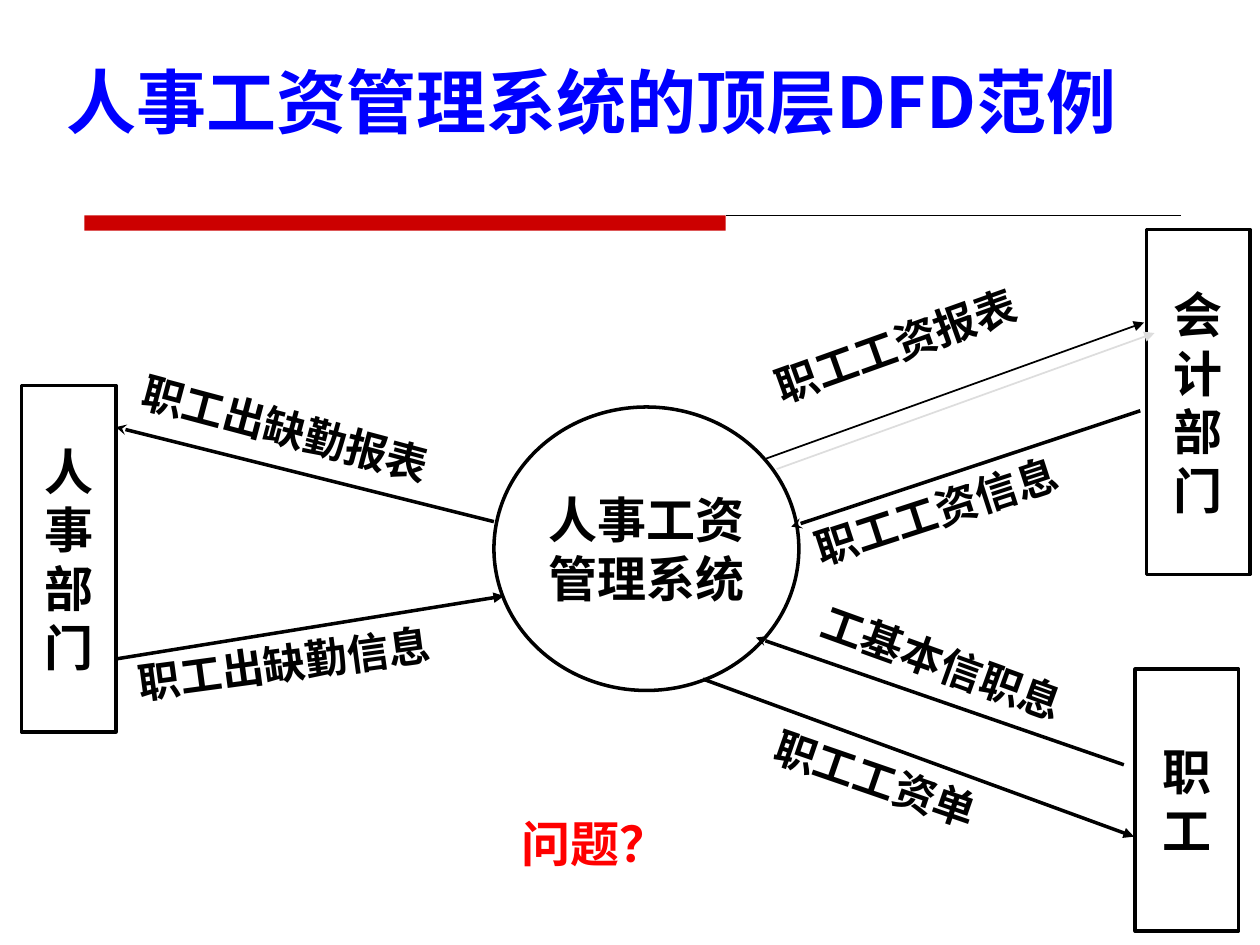
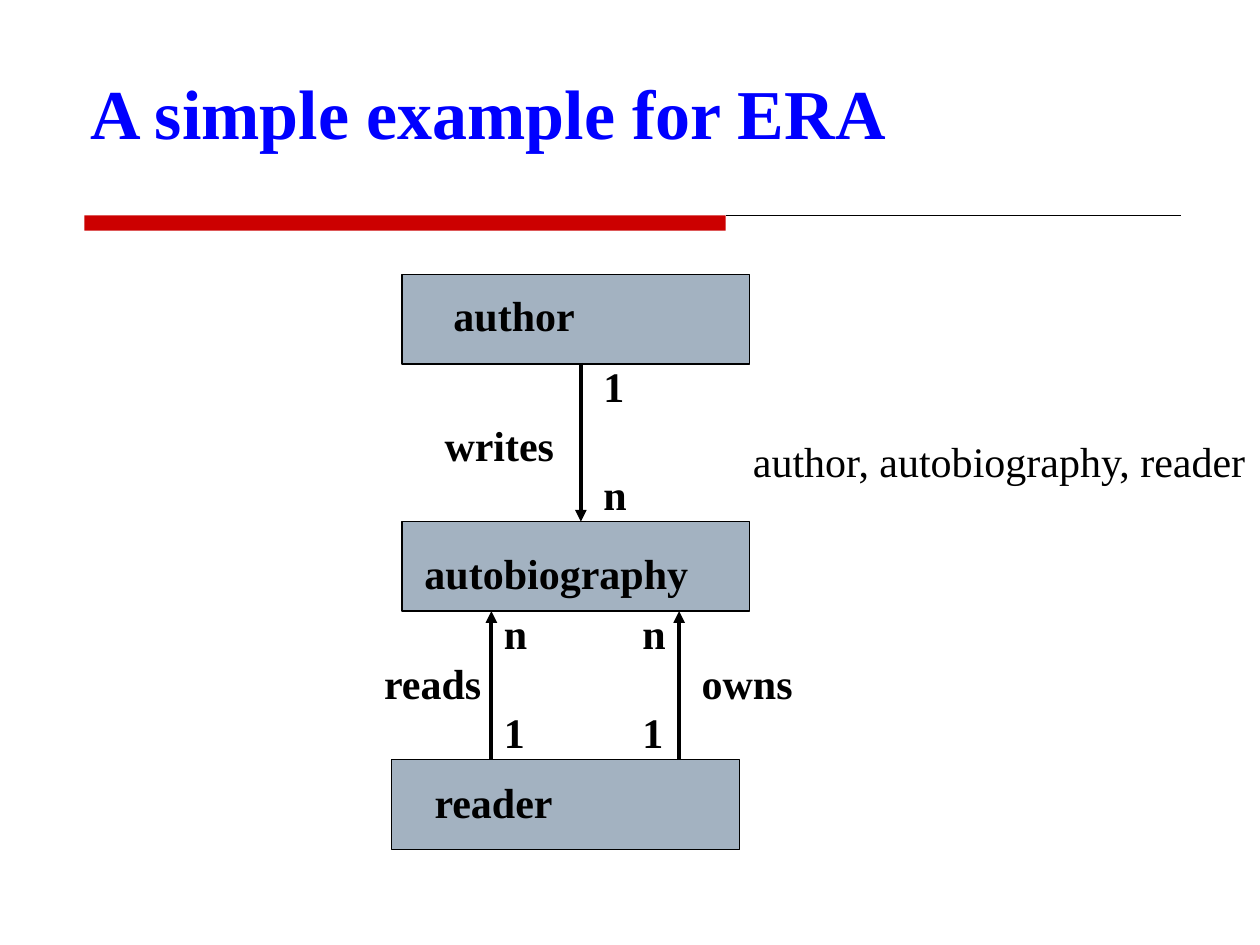
import pptx
import pptx.util
import pptx.dml.color
import pptx.enum.shapes
import pptx.enum.text
import pptx.oxml
import pptx.oxml.ns
import lxml.etree

COLORS = {"title": "0000FF", "bar": "CC0000", "ink": "000000", "paper": "FFFFFF",
          "entity": "A3B2C1", "question": "FF0000", "shadow": "DDDDDD"}
HEX = pptx.dml.color.RGBColor.from_string
SHAPE = pptx.enum.shapes.MSO_SHAPE
ALIGN = pptx.enum.text.PP_ALIGN
ANCHOR = pptx.enum.text.MSO_ANCHOR
CHINESE, LATIN, PLAIN = "Noto Sans CJK SC", "Times New Roman", "Arial"

deck = pptx.Presentation()
deck.slide_width = pptx.util.Inches(10)
deck.slide_height = pptx.util.Inches(7.5)
UNIT = deck.slide_width / 100  # the slide is a grid of 100 columns by 75 rows


def write(box, frame, lines, font, size, color="ink", bold=True,
          align=ALIGN.LEFT, anchor=ANCHOR.TOP, wrap=True):
    """Place a box on the grid and fill it with one paragraph per line."""
    box.left, box.top, box.width, box.height = [round(n * UNIT) for n in frame]
    text = box.text_frame
    text.word_wrap = wrap
    text.auto_size = pptx.enum.text.MSO_AUTO_SIZE.NONE
    text.vertical_anchor = anchor
    for index, line in enumerate(lines):
        para = text.add_paragraph() if index else text.paragraphs[0]
        para.alignment = align
        span = para.add_run()
        span.text = line
        span.font.name = font
        span.font.size = pptx.util.Pt(size)
        span.font.bold = bold
        span.font.color.rgb = HEX(COLORS[color])
        if font != LATIN:
            east = lxml.etree.SubElement(span.font._element, pptx.oxml.ns.qn("a:ea"))
            east.set("typeface", CHINESE)


def draw_line(page, start, end, weight, head=None):
    """Draw a straight line on the grid, with an arrowhead at its end if named."""
    line = page.shapes.add_connector(pptx.enum.shapes.MSO_CONNECTOR.STRAIGHT,
                                     *[round(n * UNIT) for n in start + end])
    line.line.color.rgb = HEX(COLORS["ink"])
    line.line.width = pptx.util.Pt(weight)
    if head:
        tail = lxml.etree.SubElement(line.line._get_or_add_ln(), pptx.oxml.ns.qn("a:tailEnd"))
        tail.set("type", head)
    return lxml.etree.SubElement(line._element.spPr, pptx.oxml.ns.qn("a:effectLst"))


# Titles and the rule under them
titles = [
    ("人事工资管理系统的顶层DFD范例", CHINESE, (4.3, 4.5, 93.4, 6.9), ANCHOR.MIDDLE),
    ("A simple example for ERA", LATIN, (6.2, 5, 80.7, 7.7), ANCHOR.TOP),
]
pages = []
for title, font, frame, anchor in titles:
    page = deck.slides.add_slide(deck.slide_layouts[5])
    pages.append(page)
    bar = page.shapes.add_shape(SHAPE.RECTANGLE,
                                *[round(n * UNIT) for n in (6.7, 17.1, 50.9, 1.2)])
    bar.shadow.inherit = False
    bar.fill.solid()
    bar.fill.fore_color.rgb = HEX(COLORS["bar"])
    bar.line.fill.background()
    draw_line(page, (57.6, 17.1), (93.7, 17.1), 0.75)
    write(page.shapes.title, frame, [title], font, 40, "title", anchor=anchor)
flow, era = pages

# Data flow: departments and the central process
nodes = [
    (SHAPE.RECTANGLE, (1.7, 30.6, 7.5, 27.5), "人事部门", PLAIN),
    (SHAPE.OVAL, (39.2, 32.3, 24.2, 22.5), ["人事工资", "管理系统"], PLAIN),
    (SHAPE.RECTANGLE, (91, 18.2, 8.2, 27.4), "会计部门", CHINESE),
    (SHAPE.RECTANGLE, (90.1, 53.1, 8.2, 20.8), "职工", CHINESE),
]
for kind, frame, lines, font in nodes:
    node = flow.shapes.add_shape(kind, 0, 0, 0, 0)
    node.shadow.inherit = False
    node.fill.solid()
    node.fill.fore_color.rgb = HEX(COLORS["paper"])
    node.line.color.rgb = HEX(COLORS["ink"])
    node.line.width = pptx.util.Pt(2)
    write(node, frame, lines, font, 28, align=ALIGN.CENTER, anchor=ANCHOR.MIDDLE, wrap=False)

# Data flow: arrows
for start, end, head in [
    ((39.2, 41.4), (9.2, 33.9), "stealth"),
    ((9.2, 52.3), (40, 47.3), "triangle"),
    ((90.5, 32.6), (62.8, 41.8), "stealth"),
    ((89.2, 60.7), (60, 50.6), "stealth"),
    ((55.8, 53.9), (90, 66.4), "triangle"),
]:
    draw_line(flow, start, end, 2, head)

# The report arrow casts a light shadow
effects = draw_line(flow, (60.8, 36.4), (90.8, 25.6), 1, "triangle")
shadow = lxml.etree.SubElement(effects, pptx.oxml.ns.qn("a:outerShdw"),
                               dist=str(pptx.util.Pt(8.5)), dir=str(45 * 60000))
lxml.etree.SubElement(shadow, pptx.oxml.ns.qn("a:srgbClr"), val=COLORS["shadow"])

# Data flow: slanted labels
for label, frame, angle in [
    ("职工出缺勤报表", (9.4, 32.1, 30.7, 9), 14.9),
    ("职工出缺勤信息", (9.9, 49.8, 30, 5), -7.7),
    ("职工工资信息", (63.1, 36.5, 31.7, 5), -18),
    ("职工工资报表", (59.8, 23.1, 32.5, 5), -19.7),
    ("工基本信职息", (62.9, 51.3, 29.9, 9), 19.8),
    ("职工工资单", (59.8, 61.6, 32.8, 5), 19),
]:
    box = flow.shapes.add_textbox(0, 0, 0, 0)
    write(box, frame, [label], CHINESE, 24)
    box.rotation = angle

question = flow.shapes.add_textbox(0, 0, 0, 0)
write(question, (36.7, 64.1, 21.1, 5.7), ["问题？"], LATIN, 28, "question", align=ALIGN.CENTER)

# Entities
for left, top in [(31.9, 21.8), (31.9, 41.4), (31.1, 60.3)]:
    entity = era.shapes.add_shape(SHAPE.RECTANGLE,
                                  *[round(n * UNIT) for n in (left, top, 27.6, 7.1)])
    entity.shadow.inherit = False
    entity.fill.solid()
    entity.fill.fore_color.rgb = HEX(COLORS["entity"])
    entity.line.color.rgb = HEX(COLORS["ink"])
    entity.line.width = pptx.util.Pt(0.75)

# Relations
for column, start, end in [(46.1, 28.8, 41.4), (39, 60.3, 48.5), (53.9, 60.3, 48.5)]:
    draw_line(era, (column, start), (column, end), 2.25, "triangle")

# Entity names, relation names and cardinalities
for label, left, top, width in [
    ("author", 35, 22.5, 17.5), ("autobiography", 32.7, 43, 27.8), ("reader", 33.5, 61.1, 17.5),
    ("writes", 34.3, 32.8, 11), ("reads", 29.5, 51.7, 11), ("owns", 54.7, 51.7, 9.4),
    ("1", 46.9, 28.1, 3.9), ("n", 46.9, 36.7, 3.9),
    ("n", 39, 47.7, 3.9), ("1", 39, 55.6, 3.9),
    ("n", 50, 47.7, 3.9), ("1", 50, 55.6, 3.9),
]:
    write(era.shapes.add_textbox(0, 0, 0, 0), (left, top, width, 5), [label], LATIN, 24)

summary = era.shapes.add_textbox(0, 0, 0, 0)
write(summary, (58.6, 34.1, 41.4, 5), ["author, autobiography, reader"], LATIN, 24,
      bold=False, align=ALIGN.CENTER, wrap=False)

deck.save("out.pptx")
